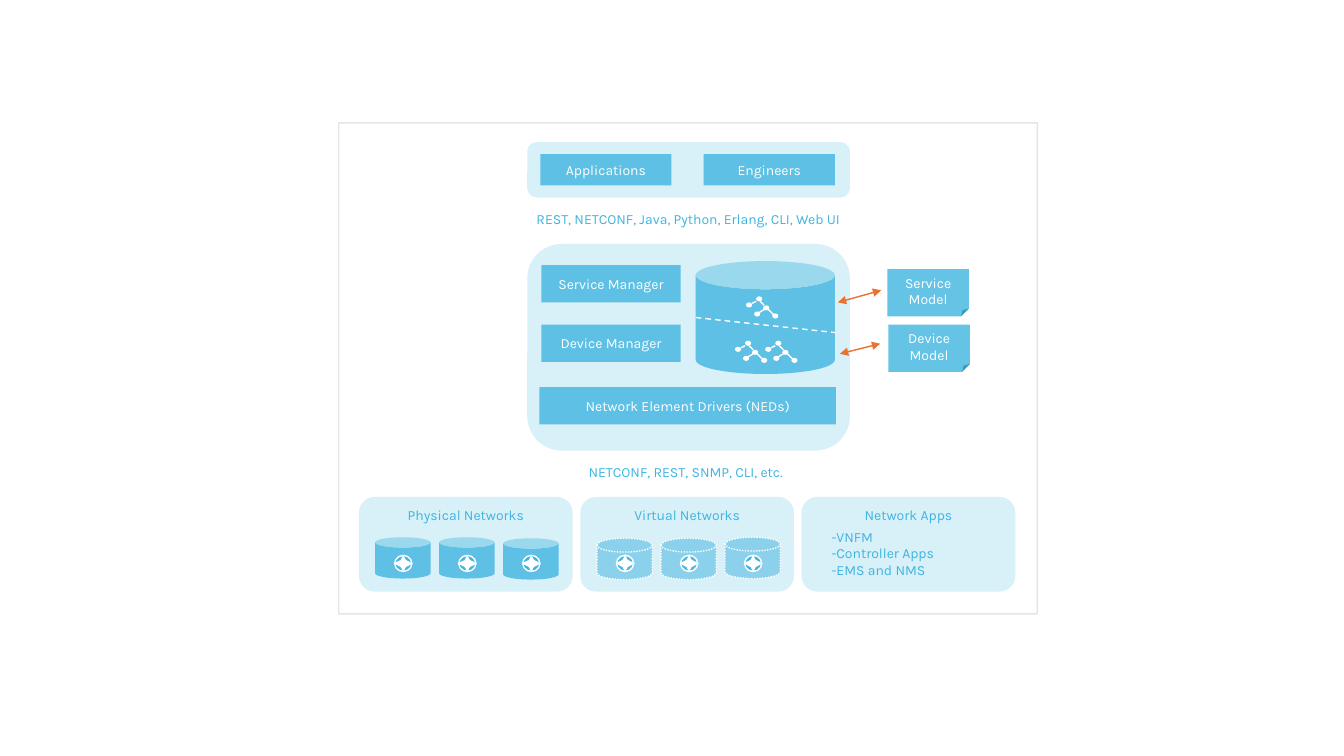
import pptx
import pptx.util
import pptx.dml.color
import pptx.enum.dml
import pptx.enum.shapes
import pptx.enum.text
import pptx.oxml
import pptx.oxml.ns

Inches = pptx.util.Inches
Pt = pptx.util.Pt
RGBColor = pptx.dml.color.RGBColor
SHAPE = pptx.enum.shapes.MSO_SHAPE
DASH = pptx.enum.dml.MSO_LINE
ALIGN = pptx.enum.text.PP_ALIGN
ANCHOR = pptx.enum.text.MSO_ANCHOR
AUTO_SIZE = pptx.enum.text.MSO_AUTO_SIZE

BLUE = RGBColor(0x3F, 0xB4, 0xE0)
WHITE = RGBColor(0xFF, 0xFF, 0xFF)
GRAY = RGBColor(0x80, 0x80, 0x80)
ORANGE = RGBColor(0xE9, 0x71, 0x32)


class Diagram:
    """Draws the elements of a network architecture diagram on one slide."""

    font_format = {"name": "Karla", "size": Pt(10)}
    line_format = {"width": Pt(1)}

    def __init__(self, slide):
        self.slide = slide

    def apply(self, target, values):
        for name, value in values.items():
            setattr(target, name, value)

    def set_alpha(self, element, query, percent):
        if percent < 100:
            color = element.xpath(query + "/a:solidFill/a:srgbClr")[0]
            alpha = pptx.oxml.parse_xml(f'<a:alpha {pptx.oxml.ns.nsdecls("a")} val="{percent * 1000}"/>')
            color.append(alpha)

    def set_line(self, line, color, dash=None):
        line.color.rgb = color
        self.apply(line, {**self.line_format, "dash_style": dash})

    def set_text(self, shape, lines, color, align=ALIGN.CENTER, **frame_format):
        frame = shape.text_frame
        self.apply(frame, {"word_wrap": True, **frame_format})
        frame.text = "\n".join(lines)
        for paragraph in frame.paragraphs:
            paragraph.alignment = align
            self.apply(paragraph.font, self.font_format)
            paragraph.font.color.rgb = color

    def shape(self, kind, box, fill=BLUE, alpha=100, line=None, dash=None,
              line_alpha=100, group=None):
        shapes = (group or self.slide).shapes
        shape = shapes.add_shape(kind, *map(Inches, box))
        shape.shadow.inherit = False
        if fill is None:
            shape.fill.background()
        else:
            shape.fill.solid()
            shape.fill.fore_color.rgb = fill
            self.set_alpha(shape.element, "./p:spPr", alpha)
        if line is None:
            shape.line.fill.background()
        else:
            self.set_line(shape.line, line, dash)
            self.set_alpha(shape.element, "./p:spPr/a:ln", line_alpha)
        return shape

    def block(self, label, box, kind=SHAPE.RECTANGLE, anchor=ANCHOR.MIDDLE):
        shape = self.shape(kind, box, alpha=80)
        self.set_text(shape, [label], WHITE, vertical_anchor=anchor)

    def panel(self, box, title=None):
        shape = self.shape(SHAPE.ROUNDED_RECTANGLE, box, alpha=20)
        if title:
            self.set_text(shape, [title], BLUE, vertical_anchor=ANCHOR.TOP)

    def caption(self, box, lines, align=ALIGN.CENTER):
        shape = self.slide.shapes.add_textbox(*map(Inches, box))
        self.set_text(shape, lines, BLUE, align, auto_size=AUTO_SIZE.SHAPE_TO_FIT_TEXT)

    def connector(self, start, end, color=WHITE, dash=None, arrows=False, group=None):
        shapes = (group or self.slide).shapes
        straight = pptx.enum.shapes.MSO_CONNECTOR.STRAIGHT
        connector = shapes.add_connector(straight, *map(Inches, (*start, *end)))
        self.set_line(connector.line, color, dash)
        namespace = pptx.oxml.ns.nsdecls("a")
        properties = connector.element.xpath("./p:spPr")[0]
        if arrows:
            outline = properties.xpath("./a:ln")[0]
            for tag in ("headEnd", "tailEnd"):
                outline.append(pptx.oxml.parse_xml(f'<a:{tag} {namespace} type="triangle"/>'))
        properties.append(pptx.oxml.parse_xml(f"<a:effectLst {namespace}/>"))

    def model_tree(self, left, top):
        group = self.slide.shapes.add_group_shape()
        for x, y in ((0, 0.06), (0.1, 0), (0.08, 0.15), (0.26, 0.17), (0.17, 0.09)):
            self.shape(SHAPE.OVAL, (left + x, top + y, 0.06, 0.05), WHITE, group=group)
        for x1, y1, x2, y2 in ((0.06, 0.07, 0.1, 0.05), (0.13, 0.16, 0.18, 0.13),
                               (0.14, 0.05, 0.18, 0.09), (0.22, 0.13, 0.27, 0.18)):
            self.connector((left + x1, top + y1), (left + x2, top + y2), group=group)

    def router(self, x, y, alpha):
        group = self.slide.shapes.add_group_shape()
        self.shape(SHAPE.OVAL, (x - 0.085, y - 0.08, 0.17, 0.16), alpha=alpha,
                   line=WHITE, group=group)
        for dx, dy in ((0, 0.085), (0.095, 0)):
            self.connector((x - dx, y - dy), (x + dx, y + dy), arrows=True, group=group)

    def devices(self, left, tops, kind, **style):
        for index, top in enumerate(tops):
            x = left + 0.635 * index
            self.shape(kind, (x, top, 0.55, 0.41), **style)
            self.router(x + 0.28, 5.59, 100 if index == 2 else 80)


def main():
    presentation = pptx.Presentation()
    presentation.slide_width = Inches(13.33)
    presentation.slide_height = Inches(7.5)
    diagram = Diagram(presentation.slides.add_slide(presentation.slide_layouts[6]))

    diagram.shape(SHAPE.RECTANGLE, (3.36, 1.22, 6.93, 4.87), None, line=GRAY, line_alpha=20)

    diagram.panel((5.23, 1.41, 3.2, 0.55))
    for label, left in (("Applications", 5.36), ("Engineers", 6.98)):
        diagram.block(label, (left, 1.53, 1.3, 0.31))
    diagram.caption((5.15, 2.04, 3.35, 0.27),
                    ["REST, NETCONF, Java, Python, Erlang, CLI, Web UI"])

    diagram.panel((5.23, 2.42, 3.2, 2.05))
    for label, box in (("Service Manager", (5.37, 2.63, 1.38, 0.37)),
                       ("Device Manager", (5.37, 3.22, 1.38, 0.37)),
                       ("Network Element Drivers (NEDs)", (5.35, 3.84, 2.94, 0.37))):
        diagram.block(label, box)

    diagram.shape(SHAPE.CAN, (6.9, 2.59, 1.38, 1.12), alpha=80)
    diagram.connector((6.9, 3.15), (8.29, 3.3), dash=DASH.DASH)
    for left, top in ((7.4, 2.94), (7.29, 3.38), (7.59, 3.38)):
        diagram.model_tree(left, top)

    for label, left, top, start, end in (
            ("Service Model", 8.8, 2.67, (8.31, 3), (8.74, 2.88)),
            ("Device Model", 8.81, 3.22, (8.33, 3.51), (8.73, 3.41))):
        diagram.block(label, (left, top, 0.81, 0.47), SHAPE.FOLDED_CORNER, ANCHOR.TOP)
        diagram.connector(start, end, ORANGE, arrows=True)

    diagram.caption((5.65, 4.55, 2.3, 0.27), ["NETCONF, REST, SNMP, CLI, etc."])
    for index, title in enumerate(("Physical Networks", "Virtual Networks", "Network Apps")):
        diagram.panel((3.56 + 2.195 * index, 4.93, 2.12, 0.94), title)
    diagram.devices(3.72, (5.33, 5.33, 5.34), SHAPE.CAN, alpha=80)
    diagram.devices(5.92, (5.34, 5.34, 5.33), SHAPE.FLOWCHART_MAGNETIC_DISK,
                    alpha=50, line=WHITE, dash=DASH.ROUND_DOT)
    diagram.caption((8.15, 5.19, 1.93, 0.61),
                    ["-VNFM", "-Controller Apps", "-EMS and NMS"], ALIGN.LEFT)

    presentation.save("out.pptx")


if __name__ == "__main__":
    main()
